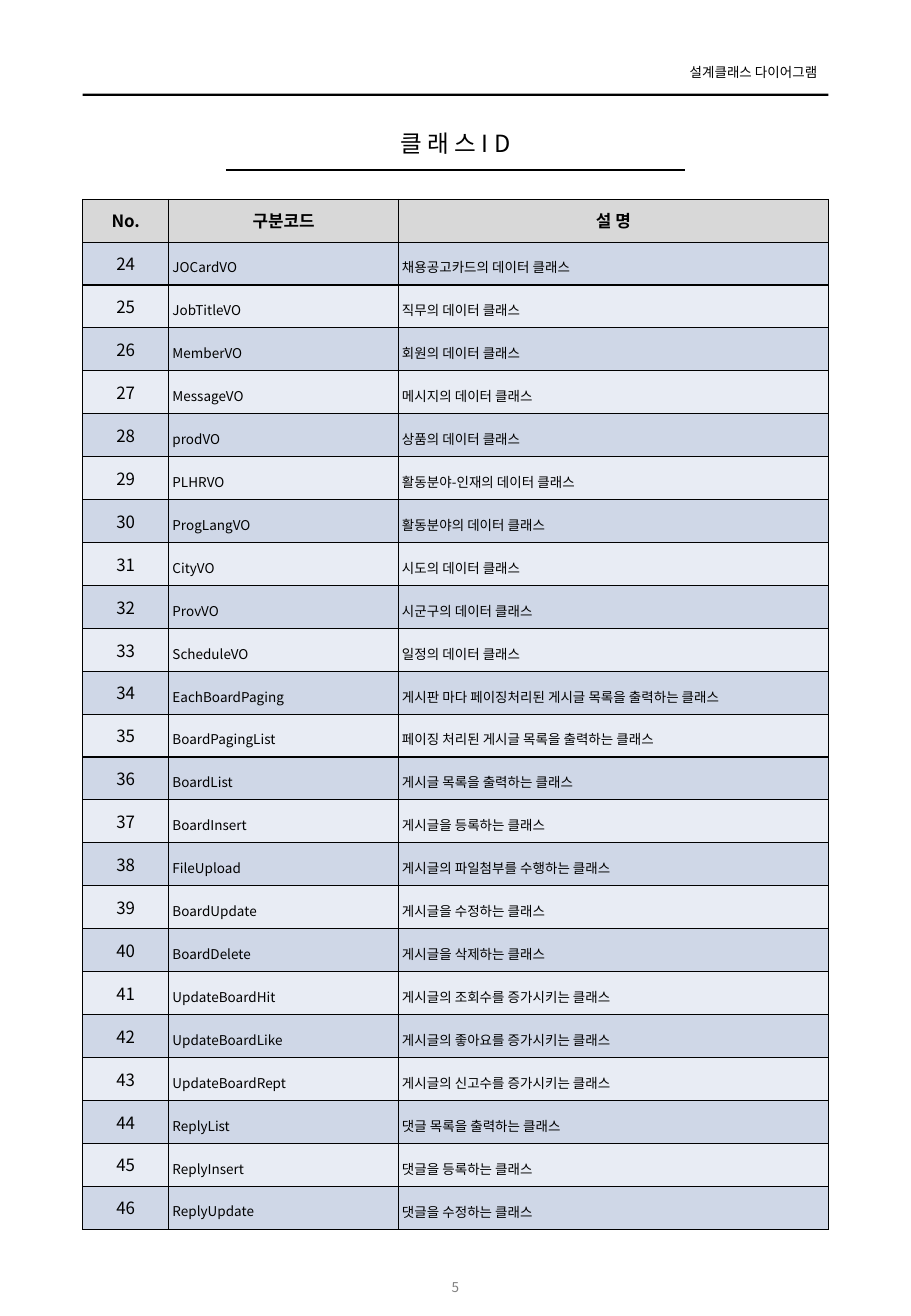
from lxml import etree
from pptx import Presentation
from pptx.dml.color import RGBColor
from pptx.enum.shapes import MSO_CONNECTOR, MSO_SHAPE
from pptx.enum.text import MSO_ANCHOR, PP_ALIGN
from pptx.oxml.ns import qn
from pptx.util import Inches, Pt

LEFT, CENTER, RIGHT = PP_ALIGN.LEFT, PP_ALIGN.CENTER, PP_ALIGN.RIGHT
TOP, MIDDLE, BOTTOM = MSO_ANCHOR.TOP, MSO_ANCHOR.MIDDLE, MSO_ANCHOR.BOTTOM
RECTANGLE, STRAIGHT = MSO_SHAPE.RECTANGLE, MSO_CONNECTOR.STRAIGHT

FONT = "Noto Sans CJK KR"
COLORS = {
    "ink": "000000",
    "page_number": "7F7F7F",
    "header": "D8D8D8",
    "odd_row": "CFD7E7",
    "even_row": "E8ECF4",
}

# Page grid, in inches
MARGIN, CONTENT_WIDTH = 0.68, 6.14
TABLE_TOP, TABLE_HEIGHT = 1.64, 8.45
COLUMN_WIDTHS = (0.71, 1.89, 3.54)
WIDE_INSETS = (0.1, 0.05, 0.1, 0.05)
TIGHT_INSETS = (0.03, 0.1, 0.03, 0.1)

HEADINGS = ("No.", "구분코드", "설 명")
FIRST_NUMBER = 24
CLASSES = [
    ("JOCardVO", "채용공고카드의 데이터 클래스"),
    ("JobTitleVO", "직무의 데이터 클래스"),
    ("MemberVO", "회원의 데이터 클래스"),
    ("MessageVO", "메시지의 데이터 클래스"),
    ("prodVO", "상품의 데이터 클래스"),
    ("PLHRVO", "활동분야-인재의 데이터 클래스"),
    ("ProgLangVO", "활동분야의 데이터 클래스"),
    ("CityVO", "시도의 데이터 클래스"),
    ("ProvVO", "시군구의 데이터 클래스"),
    ("ScheduleVO", "일정의 데이터 클래스"),
    ("EachBoardPaging", "게시판 마다 페이징처리된 게시글 목록을 출력하는 클래스"),
    ("BoardPagingList", "페이징 처리된 게시글 목록을 출력하는 클래스"),
    ("BoardList", "게시글 목록을 출력하는 클래스"),
    ("BoardInsert", "게시글을 등록하는 클래스"),
    ("FileUpload", "게시글의 파일첨부를 수행하는 클래스"),
    ("BoardUpdate", "게시글을 수정하는 클래스"),
    ("BoardDelete", "게시글을 삭제하는 클래스"),
    ("UpdateBoardHit", "게시글의 조회수를 증가시키는 클래스"),
    ("UpdateBoardLike", "게시글의 좋아요를 증가시키는 클래스"),
    ("UpdateBoardRept", "게시글의 신고수를 증가시키는 클래스"),
    ("ReplyList", "댓글 목록을 출력하는 클래스"),
    ("ReplyInsert", "댓글을 등록하는 클래스"),
    ("ReplyUpdate", "댓글을 수정하는 클래스"),
]


def rgb(name):
    return RGBColor.from_string(COLORS[name])


def write(frame, text, size, align, color="ink", bold=False):
    paragraph = frame.paragraphs[0]
    paragraph.alignment = align
    run = paragraph.add_run()
    run.text = text
    font = run.font
    font.name, font.size, font.bold = FONT, Pt(size), bold
    font.color.rgb = rgb(color)
    # East Asian typeface for the Korean text
    east_asian = etree.Element(qn("a:ea"), typeface=FONT)
    run._r.get_or_add_rPr().find(qn("a:latin")).addnext(east_asian)
    return paragraph


def set_insets(target, insets):
    (target.margin_left, target.margin_top,
     target.margin_right, target.margin_bottom) = map(Inches, insets)


def add_label(slide, box, text, size, align, insets=WIDE_INSETS,
              anchor=TOP, color="ink"):
    frame = slide.shapes.add_textbox(*map(Inches, box)).text_frame
    frame.word_wrap = True
    frame.vertical_anchor = anchor
    set_insets(frame, insets)
    write(frame, text, size, align, color)


def add_header_bar(slide):
    bar = slide.shapes.add_shape(
        RECTANGLE, Inches(MARGIN), Inches(0.77), Inches(CONTENT_WIDTH), Inches(0.02))
    bar.shadow.inherit = False
    bar.fill.solid()
    bar.fill.fore_color.rgb = rgb("ink")
    bar.line.fill.background()


def add_title_rule(slide):
    rule = slide.shapes.add_connector(
        STRAIGHT, Inches(1.86), Inches(1.4), Inches(5.64), Inches(1.4))
    rule.line.color.rgb = rgb("ink")
    rule.line.width = Pt(1)
    etree.SubElement(rule._element.spPr, qn("a:effectLst"))


def add_borders(cell):
    properties = cell._tc.get_or_add_tcPr()
    for side in ("lnL", "lnR", "lnT", "lnB"):
        border = etree.SubElement(properties, qn(f"a:{side}"), w=str(Pt(0.75)))
        fill = etree.SubElement(border, qn("a:solidFill"))
        etree.SubElement(fill, qn("a:srgbClr"), val=COLORS["ink"])


def fill_cell(cell, text, fill, size=10, align=CENTER, insets=WIDE_INSETS,
              anchor=MIDDLE, bold=False):
    add_borders(cell)
    cell.fill.solid()
    cell.fill.fore_color.rgb = rgb(fill)
    cell.vertical_anchor = anchor
    set_insets(cell, insets)
    return write(cell.text_frame, text, size, align, bold=bold)


def add_class_table(slide):
    row_count = len(CLASSES) + 1
    table = slide.shapes.add_table(
        row_count, len(HEADINGS), Inches(MARGIN), Inches(TABLE_TOP),
        Inches(CONTENT_WIDTH), Inches(TABLE_HEIGHT)).table
    table.first_row = table.horz_banding = False
    for column, width in zip(table.columns, COLUMN_WIDTHS):
        column.width = Inches(width)
    for row in table.rows:
        row.height = Inches(TABLE_HEIGHT / row_count)

    # Heading row
    for column, heading in enumerate(HEADINGS):
        fill_cell(table.cell(0, column), heading, "header", bold=True)

    # One banded row per class
    for row, (code, description) in enumerate(CLASSES, start=1):
        fill = "odd_row" if row % 2 else "even_row"
        fill_cell(table.cell(row, 0), str(FIRST_NUMBER + row - 1), fill)
        for column, text, anchor in ((1, code, BOTTOM), (2, description, MIDDLE)):
            paragraph = fill_cell(table.cell(row, column), text, fill, 8,
                                  LEFT, TIGHT_INSETS, anchor)
            paragraph.line_spacing = 1.15


def main():
    deck = Presentation()
    deck.slide_width, deck.slide_height = Inches(7.5), Inches(10.83)
    slide = deck.slides.add_slide(deck.slide_layouts[6])

    # Running header
    add_header_bar(slide)
    add_label(slide, (5.47, 0.48, 1.34, 0.24), "설계클래스 다이어그램", 8, RIGHT,
              insets=(0.1, 0.05, 0.08, 0.05))

    # Title
    add_title_rule(slide)
    add_label(slide, (MARGIN, 1.01, CONTENT_WIDTH, 0.34), "클 래 스 I D", 14, CENTER,
              insets=(0, 0.05, 0, 0.05))

    # Page number and class list
    add_label(slide, (3.28, 10.39, 0.94, 0.4), "5", 8, CENTER,
              anchor=MIDDLE, color="page_number")
    add_class_table(slide)

    deck.save("out.pptx")


main()
